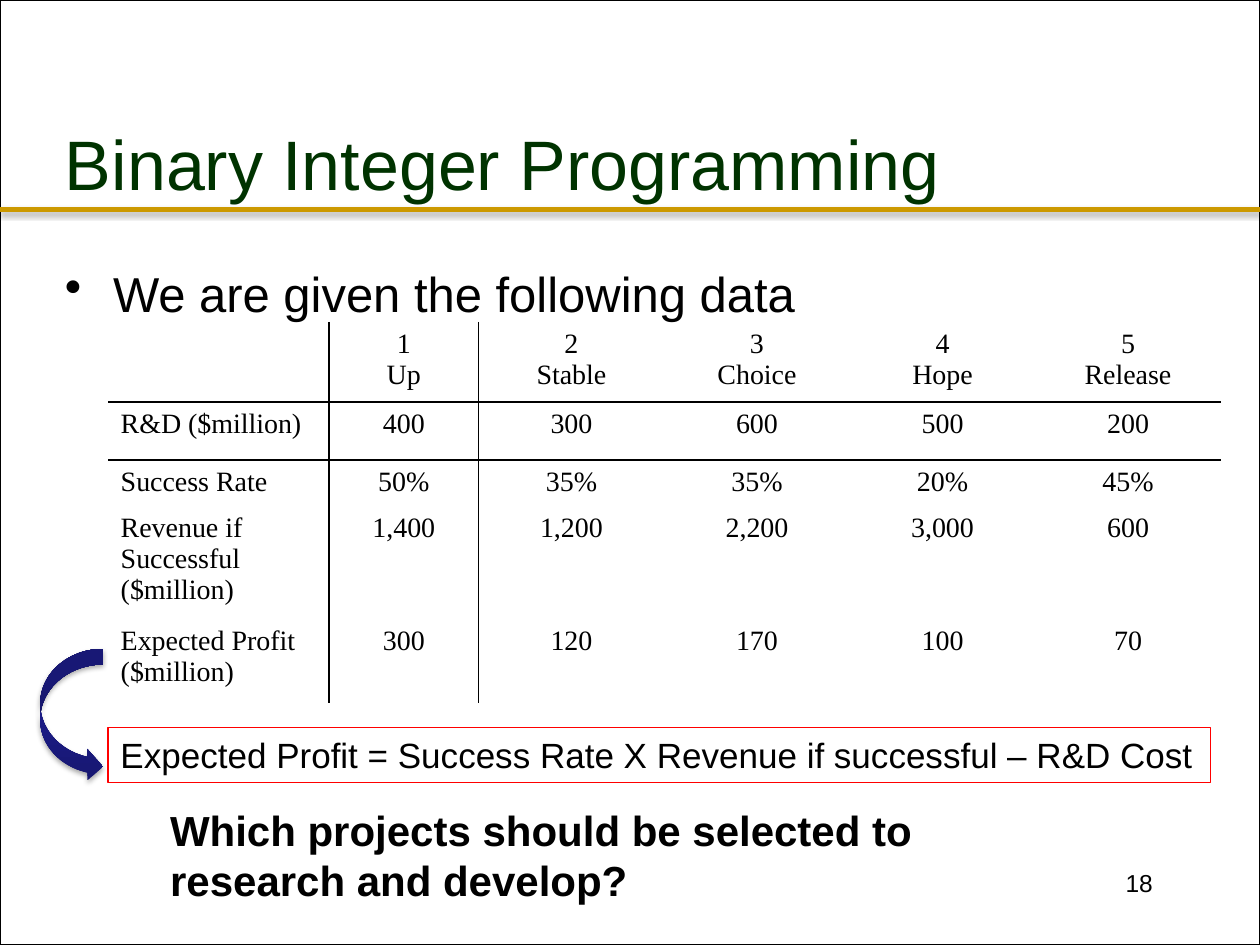
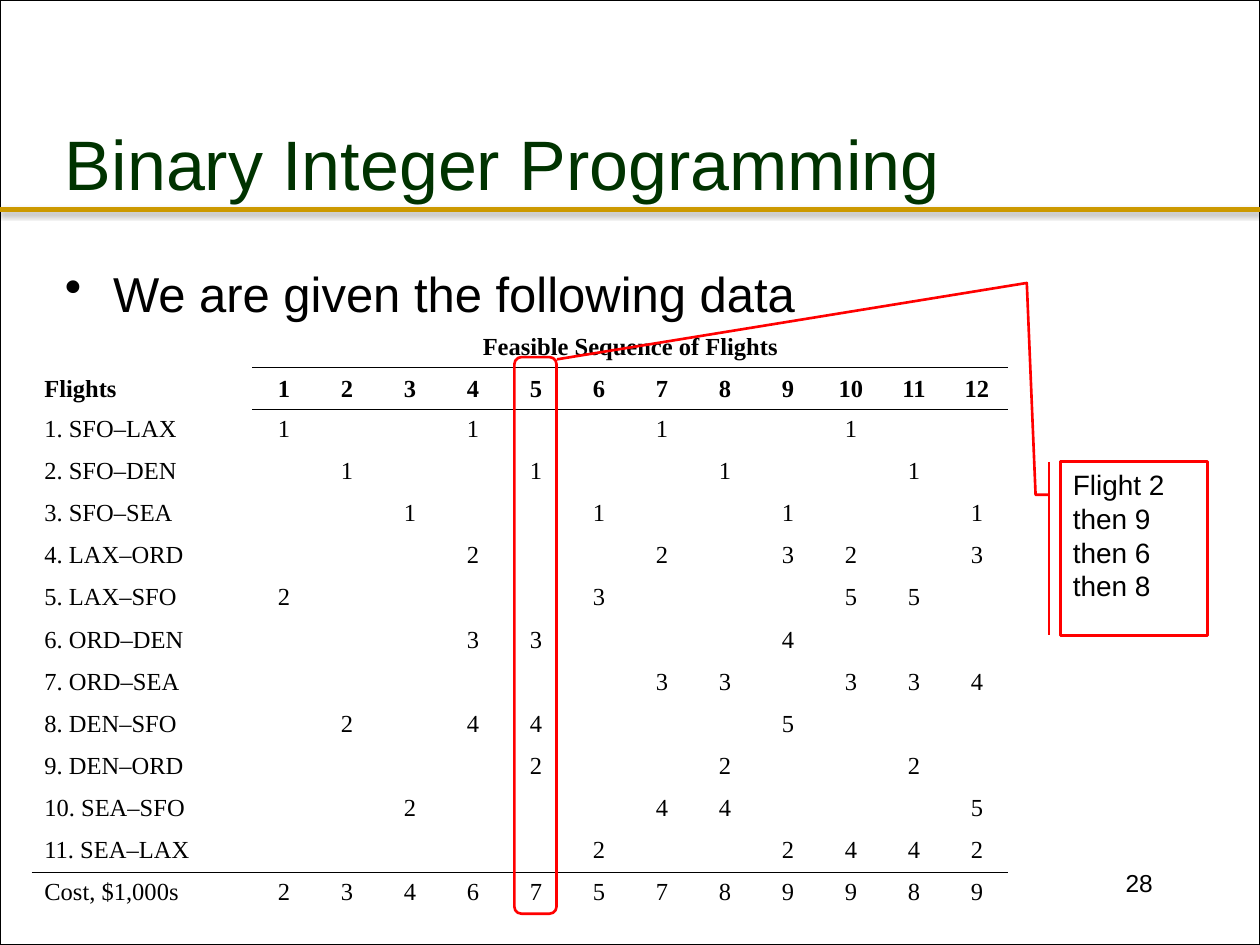
from dataclasses import dataclass, field
from typing import NamedTuple

from lxml.etree import SubElement
from pptx import Presentation
from pptx.dml.color import RGBColor
from pptx.enum.shapes import MSO_CONNECTOR, MSO_SHAPE
from pptx.enum.text import MSO_ANCHOR, PP_ALIGN
from pptx.oxml.ns import qn
from pptx.util import Cm, Pt

INK = {
    "black": "000000", "white": "FFFFFF", "green": "003300", "gold": "CC9900",
    "red": "FF0000", "navy": "171771", "blue": "1E1E93",
}
SANS, SERIF = "Arial", "Times New Roman"
PLAIN = "{2D5ABB26-0587-4C30-8999-92F81FD0307C}"  # no style, no grid
WIDE, HIGH = 25.4, 19.05


class Spot(NamedTuple):
    """Left, top, width and height in centimetres."""
    left: float
    top: float
    width: float
    height: float

    def cm(self) -> list:
        return [Cm(size) for size in self]


@dataclass
class Grid:
    """A table; rules maps a row to the first column of the line above it,
    bars lists the columns with a line on their left."""
    spot: Spot
    rows: list
    widths: list
    heights: list
    size: int
    rules: dict
    bars: tuple = ()
    heads: int = 0  # bold rows, set at the bottom of their cells
    span: bool = False  # first row is merged from its second cell on
    bold: set = field(default_factory=set)

    def edges(self, row: int, col: int) -> str:
        sides = {
            "L": col in self.bars,
            "R": col + 1 in self.bars,
            "T": col >= self.rules.get(row, len(self.widths)),
            "B": col >= self.rules.get(row + 1, len(self.widths)),
        }
        return "".join(side for side, drawn in sides.items() if drawn)


def tint(name: str) -> RGBColor:
    return RGBColor.from_string(INK[name])


def write(frame, text: str, *, size: int, font: str = SANS, ink: str = "black",
          bold: bool = False, align=PP_ALIGN.LEFT, bullet: str = "") -> None:
    para = frame.paragraphs[0]
    para.alignment = align
    if bullet:
        props = para._p.get_or_add_pPr()
        props.set("marL", str(Cm(0.97)))
        props.set("indent", str(-Cm(0.97)))
        SubElement(props, qn("a:buChar"), char=bullet)
    if not text:
        SubElement(para._p, qn("a:endParaRPr"), sz=str(size * 100))
    for count, line in enumerate(text.split("\n") if text else []):
        if count:
            para.add_line_break()
        run = para.add_run()
        run.text = line
        run.font.size, run.font.name, run.font.bold = Pt(size), font, bold
        run.font.color.rgb = tint(ink)


def label(slide, spot: Spot, text: str, anchor=MSO_ANCHOR.TOP, lead: float = 0.13,
          **style) -> None:
    frame = slide.shapes.add_textbox(*spot.cm()).text_frame
    frame.word_wrap = True
    frame.vertical_anchor = anchor
    frame.margin_top = Cm(lead)
    write(frame, text, **style)


def shape(slide, kind, spot: Spot, line: str = "", width: float = 0.75, fill: str = ""):
    item = slide.shapes.add_shape(kind, *spot.cm())
    item.shadow.inherit = False
    if fill:
        item.fill.solid()
        item.fill.fore_color.rgb = tint(fill)
    else:
        item.fill.background()
    if line:
        item.line.color.rgb = tint(line)
        item.line.width = Pt(width)
    else:
        item.line.fill.background()
    item.text_frame.word_wrap = True
    item.text_frame.vertical_anchor = MSO_ANCHOR.TOP
    return item


def shade(item) -> None:
    """Give the item a soft shadow below it."""
    props = item.element.spPr
    effects = props.find(qn("a:effectLst"))
    if effects is None:
        effects = SubElement(props, qn("a:effectLst"))
    shadow = SubElement(effects, qn("a:outerShdw"), blurRad=str(Pt(3.1)),
                        dist=str(Pt(1.8)), dir="5400000", rotWithShape="0")
    color = SubElement(shadow, qn("a:srgbClr"), val=INK["black"])
    SubElement(color, qn("a:alpha"), val="35000")


def border(cell, sides: str) -> None:
    props = cell._tc.get_or_add_tcPr()
    for side in sides:
        line = SubElement(props, qn(f"a:ln{side}"), w=str(Pt(1)))
        fill = SubElement(line, qn("a:solidFill"))
        SubElement(fill, qn("a:srgbClr"), val=INK["black"])


def draw(slide, grid: Grid) -> None:
    frame = slide.shapes.add_table(len(grid.rows), len(grid.widths), *grid.spot.cm())
    for style in frame.element.iter(qn("a:tableStyleId")):
        style.text = PLAIN
    table = frame.table
    table.first_row = table.horz_banding = False
    for column, width in zip(table.columns, grid.widths):
        column.width = Cm(width)
    for row, height in zip(table.rows, grid.heights):
        row.height = Cm(height)
    if grid.span:
        table.cell(0, 1).merge(table.cell(0, len(grid.widths) - 1))
    for r, texts in enumerate(grid.rows):
        head = r < grid.heads
        for c, text in enumerate(texts):
            cell = table.cell(r, c)
            cell.vertical_anchor = MSO_ANCHOR.BOTTOM if head else MSO_ANCHOR.TOP
            border(cell, grid.edges(r, c))
            cell.fill.background()
            write(cell.text_frame, text, size=grid.size, font=SERIF, bold=head,
                  align=PP_ALIGN.CENTER if c else PP_ALIGN.LEFT)


def start(deck, page: int):
    """Add a slide with the frame, rule, title, lead line and page number."""
    slide = deck.slides.add_slide(deck.slide_layouts[6])
    shape(slide, MSO_SHAPE.RECTANGLE, Spot(0, 0, WIDE, HIGH), "black", fill="white")
    rule = slide.shapes.add_connector(
        MSO_CONNECTOR.STRAIGHT, Cm(0), Cm(4.23), Cm(WIDE), Cm(4.23))
    rule.line.color.rgb = tint("gold")
    rule.line.width = Pt(3)
    shade(rule)
    label(slide, Spot(1.06, 1.69, 23.28, 3.18), "Binary Integer Programming",
          MSO_ANCHOR.MIDDLE, size=40, ink="green")
    label(slide, Spot(1.06, 5.08, 23.28, 11.85), "We are given the following data",
          lead=0.23, size=28, bullet="•")
    label(slide, Spot(18.2, 17.36, 5.29, 1.27), str(page), size=14,
          align=PP_ALIGN.RIGHT)
    return slide


def projects(deck) -> None:
    slide = start(deck, 18)
    draw(slide, Grid(
        Spot(2.18, 6.49, 22.43, 7.42),
        [
            ["", "1\nUp", "2\nStable", "3\nChoice", "4\nHope", "5\nRelease"],
            ["R&D ($million)", "400", "300", "600", "500", "200"],
            ["Success Rate", "50%", "35%", "35%", "20%", "45%"],
            ["Revenue if Successful ($million)", "1,400", "1,200", "2,200", "3,000", "600"],
            ["Expected Profit ($million)", "300", "120", "170", "100", "70"],
        ],
        widths=[4.45, 3.02] + [3.74] * 4, heights=[1.52, 1.17, 0.89, 2.16, 1.68],
        size=16, rules={1: 0}, bars=(1,)))
    arrow = shape(slide, MSO_SHAPE.CURVED_RIGHT_ARROW, Spot(0.81, 13.08, 1.27, 2.69))
    arrow.fill.gradient()
    arrow.fill.gradient_angle = 90
    for stop, name, place in zip(arrow.fill.gradient_stops, ("navy", "blue"), (0, 0.8)):
        stop.color.rgb = tint(name)
        stop.position = place
    shade(arrow)
    rule = shape(slide, MSO_SHAPE.RECTANGLE, Spot(2.18, 14.66, 22.23, 1.12), "red")
    write(rule.text_frame,
          "Expected Profit = Success Rate X Revenue if successful – R&D Cost", size=20)
    label(slide, Spot(3.18, 16.08, 18.42, 2.4),
          "Which projects should be selected to research and develop?",
          size=24, bold=True)


def flights(deck) -> None:
    slide = start(deck, 28)
    marks = {
        "1. SFO–LAX": "1 . . 1 . . 1 . . 1 . .",
        "2. SFO–DEN": ". 1 . . 1 . . 1 . . 1 .",
        "3. SFO–SEA": ". . 1 . . 1 . . 1 . . 1",
        "4. LAX–ORD": ". . . 2 . . 2 . 3 2 . 3",
        "5. LAX–SFO": "2 . . . . 3 . . . 5 5 .",
        "6. ORD–DEN": ". . . 3 3 . . . 4 . . .",
        "7. ORD–SEA": ". . . . . . 3 3 . 3 3 4",
        "8. DEN–SFO": ". 2 . 4 4 . . . 5 . . .",
        "9. DEN–ORD": ". . . . 2 . . 2 . . 2 .",
        "10. SEA–SFO": ". . 2 . . . 4 4 . . . 5",
        "11. SEA–LAX": ". . . . . 2 . . 2 4 4 2",
        "Cost, $1,000s": "2 3 4 6 7 5 7 8 9 9 8 9",
    }
    rows = [
        ["", "Feasible Sequence of Flights"] + [""] * 11,
        ["Flights"] + [str(n) for n in range(1, 13)],
    ]
    rows += [[name] + [mark.strip(".") for mark in line.split()]
             for name, line in marks.items()]
    draw(slide, Grid(
        Spot(0.64, 6.56, 19.69, 10.64), rows,
        widths=[4.45] + [1.27] * 12, heights=[0.76] * len(rows),
        size=14, rules={1: 1, 13: 0}, heads=2, span=True))
    shape(slide, MSO_SHAPE.ROUNDED_RECTANGLE, Spot(10.37, 7.2, 0.85, 11.22), "red", 1.5)
    note = shape(slide, MSO_SHAPE.LINE_CALLOUT_3_BORDER_AND_ACCENT_BAR,
                 Spot(21.38, 9.31, 2.96, 3.5), "red", 1.5)
    bends = (0.19, -0.08, 0.19, -0.17, -1.03, -0.23, -0.59, -3.43)
    for count, bend in enumerate(bends):
        note.adjustments[count] = bend
    write(note.text_frame, "Flight 2 then 9 then 6 then 8", size=16)


def main() -> None:
    deck = Presentation()
    deck.slide_width, deck.slide_height = Cm(WIDE), Cm(HIGH)
    projects(deck)
    flights(deck)
    deck.save("out.pptx")


if __name__ == "__main__":
    main()
